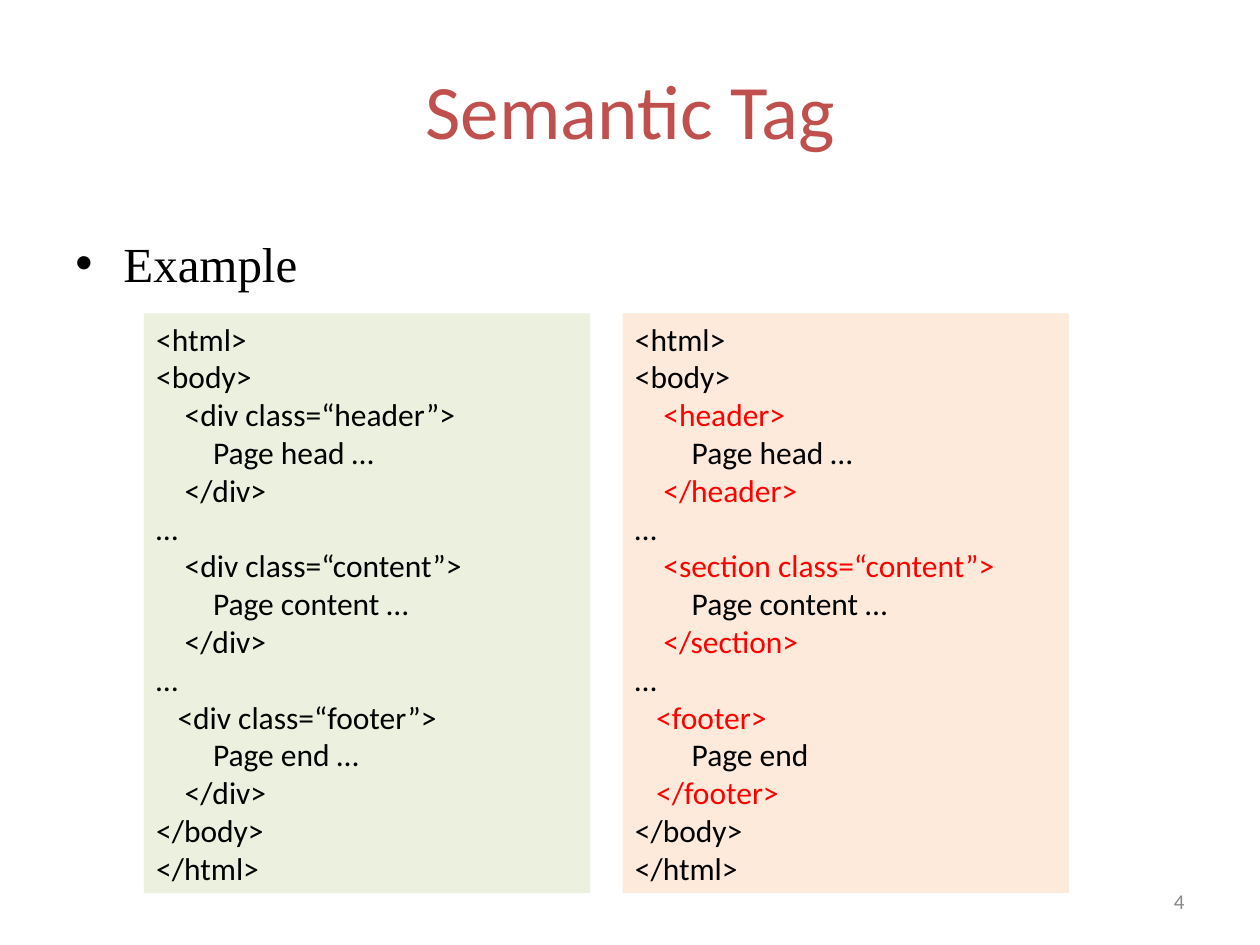
from dataclasses import dataclass

from lxml.etree import SubElement
from pptx import Presentation
from pptx.dml.color import RGBColor
from pptx.enum.shapes import MSO_SHAPE as Shape
from pptx.enum.text import MSO_ANCHOR as Anchor, PP_ALIGN as Align
from pptx.oxml.ns import qn
from pptx.slide import Slide
from pptx.util import Cm, Pt

BLACK = RGBColor(0x00, 0x00, 0x00)
RED = RGBColor(0xFF, 0x00, 0x00)
BRICK = RGBColor(0xC0, 0x50, 0x4D)
GREY = RGBColor(0x89, 0x89, 0x89)
PALE_GREEN = RGBColor(0xEB, 0xF1, 0xDE)
PALE_ORANGE = RGBColor(0xFD, 0xEA, 0xDA)

DIV_CODE = """<html>
<body>
    <div class=“header”>
        Page head …
    </div>
…
    <div class=“content”>
        Page content …
    </div>
…
   <div class=“footer”>
        Page end …
    </div>
</body>
</html>"""

SEMANTIC_CODE = """<html>
<body>
    <header>
        Page head …
    </header>
…
    <section class=“content”>
        Page content …
    </section>
…
   <footer>
        Page end
   </footer>
</body>
</html>"""


@dataclass
class SlideWriter:
    """Write styled titles, bullets, code panels and page numbers on a slide."""

    page: Slide
    font: str = "Calibri"
    body_font: str = "Times New Roman"
    code_size: int = 18
    indent: float = 0.97

    def span(self, para, text, size, color, font=None):
        span = para.add_run()
        span.text = text
        span.font.name = font or self.font
        span.font.size = Pt(size)
        span.font.color.rgb = color

    def frame(self, left, top, width, height, anchor=Anchor.TOP):
        box = self.page.shapes.add_textbox(Cm(left), Cm(top), Cm(width), Cm(height))
        box.text_frame.word_wrap = True
        box.text_frame.vertical_anchor = anchor
        return box.text_frame

    def label(self, text, place, size, color, align):
        para = self.frame(*place, anchor=Anchor.MIDDLE).paragraphs[0]
        para.alignment = align
        self.span(para, text, size, color)

    def title(self, text):
        self.label(text, (4.34, 1.32, 16.74, 1.75), 44, BRICK, Align.CENTER)

    def page_number(self, text):
        self.label(text, (18.21, 17.65, 5.92, 1.02), 12, GREY, Align.RIGHT)

    def bullet(self, text):
        frame = self.frame(1.27, 4.45, 22.86, 12.57)
        frame.margin_top = Cm(0.25)
        para = frame.paragraphs[0]
        properties = para._p.get_or_add_pPr()
        properties.set("marL", str(Cm(self.indent)))
        properties.set("indent", str(-Cm(self.indent)))
        SubElement(properties, qn("a:buFont"), typeface="Arial")
        SubElement(properties, qn("a:buChar"), char="•")
        self.span(para, text, 28, BLACK, self.body_font)

    def code_panel(self, code, left, fill, tag_color=BLACK):
        panel = self.page.shapes.add_shape(
            Shape.RECTANGLE, Cm(left), Cm(6.32), Cm(9), Cm(11.68)
        )
        panel.shadow.inherit = False
        panel.fill.solid()
        panel.fill.fore_color.rgb = fill
        panel.line.fill.background()
        frame = panel.text_frame
        frame.word_wrap = True
        frame.vertical_anchor = Anchor.TOP
        for number, line in enumerate(code.splitlines()):
            para = frame.add_paragraph() if number else frame.paragraphs[0]
            para.alignment = Align.LEFT
            inner_tag = line.startswith(" ") and line.lstrip().startswith("<")
            self.span(para, line, self.code_size, tag_color if inner_tag else BLACK)


def main():
    deck = Presentation()
    deck.slide_width, deck.slide_height = Cm(25.4), Cm(19.05)
    writer = SlideWriter(deck.slides.add_slide(deck.slide_layouts[6]))
    writer.page_number("4")
    writer.title("Semantic Tag")
    writer.bullet("Example")
    writer.code_panel(DIV_CODE, 2.9, PALE_GREEN)
    writer.code_panel(SEMANTIC_CODE, 12.55, PALE_ORANGE, RED)
    deck.save("out.pptx")


if __name__ == "__main__":
    main()
